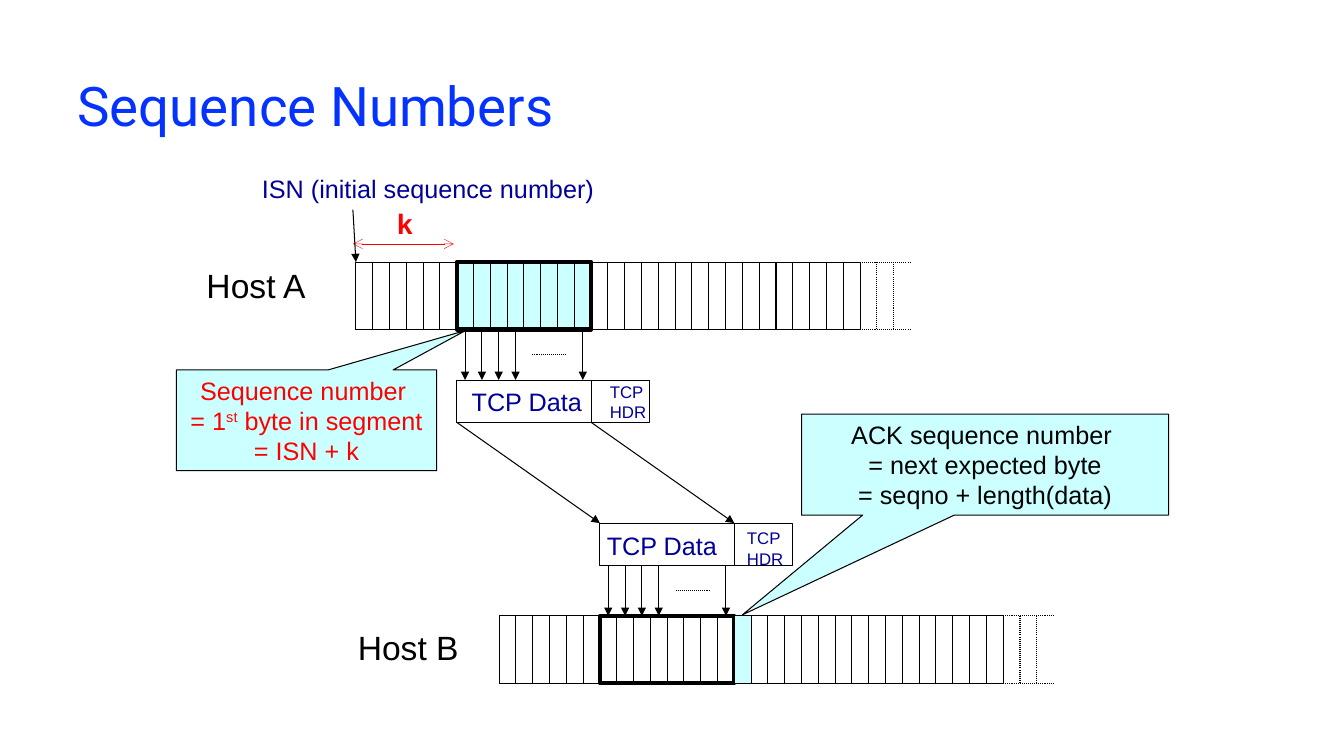
from dataclasses import dataclass
from typing import Optional

from lxml import etree
from pptx import Presentation
from pptx.dml.color import RGBColor
from pptx.enum.dml import MSO_LINE
from pptx.enum.shapes import MSO_CONNECTOR, MSO_SHAPE
from pptx.enum.text import MSO_ANCHOR, PP_ALIGN
from pptx.oxml.ns import qn
from pptx.util import Inches, Pt

STRAIGHT = MSO_CONNECTOR.STRAIGHT
RECT, CALLOUT = MSO_SHAPE.RECTANGLE, MSO_SHAPE.RECTANGULAR_CALLOUT
DOTTED = MSO_LINE.ROUND_DOT
LEFT, CENTER, RIGHT = PP_ALIGN.LEFT, PP_ALIGN.CENTER, PP_ALIGN.RIGHT
TOP, MIDDLE, BOTTOM = MSO_ANCHOR.TOP, MSO_ANCHOR.MIDDLE, MSO_ANCHOR.BOTTOM

BLACK, WHITE, RED = "000000", "FFFFFF", "FF0000"
NAVY, BLUE, CYAN = "000099", "0432FF", "CCFFFF"

CELL = 1 / 6
SOLID_CELLS, DOTTED_CELLS = 30, 3
SEGMENT_START, SEGMENT_CELLS = 6, 8
SEGMENT_W = SEGMENT_CELLS * CELL
STREAM_H, PACKET_H, HEADER_W = 0.67, 0.42, 0.58
ARROW_CELLS = (0, 1, 2, 3, 7)


@dataclass
class Host:
    left: float
    top: float
    packet_top: float
    arrows_from: float
    arrows_to: float
    data_at: tuple[float, float]
    header_at: tuple[float, float]

    @property
    def segment(self) -> float:
        return self.left + SEGMENT_START * CELL


@dataclass
class Label:
    text: str
    box: tuple[float, float, float, float]
    size: float
    color: str
    font: str = "Arial"
    bold: bool = False
    align: PP_ALIGN = LEFT
    anchor: MSO_ANCHOR = TOP
    wrap: bool = False


HOST_A = Host(3.53, 2.6, 3.77, 3.27, 3.77, (4.58, 3.78), (5.95, 3.74))
HOST_B = Host(4.95, 6.11, 5.19, 5.61, 6.11, (5.92, 5.21), (7.31, 5.19))

LABELS = [
    Label("Sequence Numbers", (0.67, 0.13, 12, 1.28), 39, BLUE, "Roboto",
          anchor=BOTTOM, wrap=True),
    Label("Host A", (1.95, 2.58, 1.2, 0.5), 24, BLACK),
    Label("Host B", (3.45, 6.17, 1.21, 0.5), 24, BLACK),
    Label("ISN (initial sequence number)", (2.5, 1.67, 3.53, 0.4), 18, NAVY),
    Label("k", (3.83, 2, 0.37, 0.44), 20, RED, "Courier New", True, RIGHT),
]

prs = Presentation()
prs.slide_width, prs.slide_height = Inches(13.33), Inches(7.5)
s = prs.slides.add_slide(prs.slide_layouts[6])


def rgb(color: str) -> RGBColor:
    return RGBColor.from_string(color)


def add_run(p, text: str, size: float, color: str, font: str = "Arial",
            bold: bool = False):
    r = p.add_run()
    r.text = text
    r.font.name, r.font.size, r.font.bold = font, Pt(size), bold
    r.font.color.rgb = rgb(color)
    return r


def add_label(label: Label) -> None:
    tf = s.shapes.add_textbox(*map(Inches, label.box)).text_frame
    tf.word_wrap, tf.vertical_anchor = label.wrap, label.anchor
    for i, text in enumerate(label.text.split("\n")):
        p = tf.paragraphs[0] if i == 0 else tf.add_paragraph()
        p.alignment = label.align
        add_run(p, text, label.size, label.color, label.font, label.bold)


def add_box(x: float, y: float, w: float, h: float, fill: Optional[str],
            weight: float = 0.75, kind: MSO_SHAPE = RECT):
    sp = s.shapes.add_shape(kind, *map(Inches, (x, y, w, h)))
    sp.shadow.inherit = False
    if fill:
        sp.fill.solid()
        sp.fill.fore_color.rgb = rgb(fill)
    else:
        sp.fill.background()
    sp.line.color.rgb = rgb(BLACK)
    sp.line.width = Pt(weight)
    return sp


def add_line(x1: float, y1: float, x2: float, y2: float, dotted: bool = False,
             head: str = "", tail: str = "", color: str = BLACK,
             weight: float = 0.75) -> None:
    cn = s.shapes.add_connector(STRAIGHT, *map(Inches, (x1, y1, x2, y2)))
    cn.line.color.rgb = rgb(color)
    cn.line.width = Pt(weight)
    if dotted:
        cn.line.dash_style = DOTTED
    ln = cn.line._get_or_add_ln()
    for tag, arrow in (("a:headEnd", head), ("a:tailEnd", tail)):
        if arrow:
            etree.SubElement(ln, qn(tag), type=arrow)
    etree.SubElement(cn._element.spPr, qn("a:effectLst"))


def add_callout(box: tuple[float, float, float, float],
                tip: tuple[float, float]):
    """Draw a callout whose tip is offset from its centre by fractions of its size."""
    sp = add_box(*box, CYAN, kind=CALLOUT)
    sp.adjustments[0], sp.adjustments[1] = tip
    tf = sp.text_frame
    tf.word_wrap, tf.vertical_anchor = True, MIDDLE
    return tf


def add_stream(host: Host) -> None:
    """Draw the row of byte cells, with a dotted continuation."""
    solid_end = host.left + SOLID_CELLS * CELL
    bottom = host.top + STREAM_H
    for y in (host.top, bottom):
        add_line(host.left, y, solid_end, y)
        add_line(solid_end, y, solid_end + DOTTED_CELLS * CELL, y, dotted=True)
    for i in range(SOLID_CELLS + DOTTED_CELLS):
        x = host.left + i * CELL
        add_line(x, host.top, x, bottom, dotted=i > SOLID_CELLS)


def add_packet(host: Host) -> None:
    """Draw the TCP packet and the arrows between it and the byte cells."""
    add_box(host.segment, host.packet_top, SEGMENT_W, PACKET_H, WHITE)
    add_box(host.segment + SEGMENT_W, host.packet_top, HEADER_W, PACKET_H, WHITE)
    add_label(Label("TCP Data", (*host.data_at, 1.31, 0.4), 18, NAVY))
    add_label(Label("TCP\nHDR", (*host.header_at, 0.58, 0.5), 12, NAVY))
    for i in ARROW_CELLS:
        x = host.segment + (i + 0.5) * CELL
        add_line(x, host.arrows_from, x, host.arrows_to, tail="triangle")
    y = (host.arrows_from + host.arrows_to) / 2
    add_line(host.segment + 4.5 * CELL, y, host.segment + 6.5 * CELL, y, dotted=True)


add_box(HOST_A.segment, HOST_A.top, SEGMENT_W, STREAM_H, CYAN, 3)
for host in (HOST_A, HOST_B):
    add_stream(host)
    add_packet(host)
for edge in (0, SEGMENT_W):
    add_line(HOST_A.segment + edge, HOST_A.packet_top + PACKET_H,
             HOST_B.segment + edge, HOST_B.packet_top, tail="triangle")
add_box(HOST_B.segment, HOST_B.top, SEGMENT_W, STREAM_H, None, 3)

tf = add_callout((7.95, 4.11, 3.64, 1), (-0.661, 1.49))
for i, text in enumerate(("ACK sequence number ", "= next expected byte",
                          "= seqno + length(data)")):
    p = tf.paragraphs[0] if i == 0 else tf.add_paragraph()
    p.alignment = CENTER
    add_run(p, text, 18, BLACK)
add_box(HOST_B.segment + SEGMENT_W, HOST_B.top, CELL, STREAM_H, CYAN)

p = add_callout((1.75, 3.67, 2.58, 1), (0.612, -0.891)).paragraphs[0]
p.alignment = CENTER
add_run(p, "Sequence number ", 18, RED)
p.add_line_break()
add_run(p, "= 1", 18, RED)
add_run(p, "st", 18, RED).font._element.set("baseline", "30000")
add_run(p, " byte in segment = ISN + k", 18, RED)

for label in LABELS:
    add_label(label)
add_line(3.5, 2.42, 4.5, 2.42, head="arrow", tail="arrow", color=RED, weight=0.25)
add_line(3.5, 2.08, HOST_A.left, HOST_A.top, tail="triangle")

prs.save("out.pptx")
